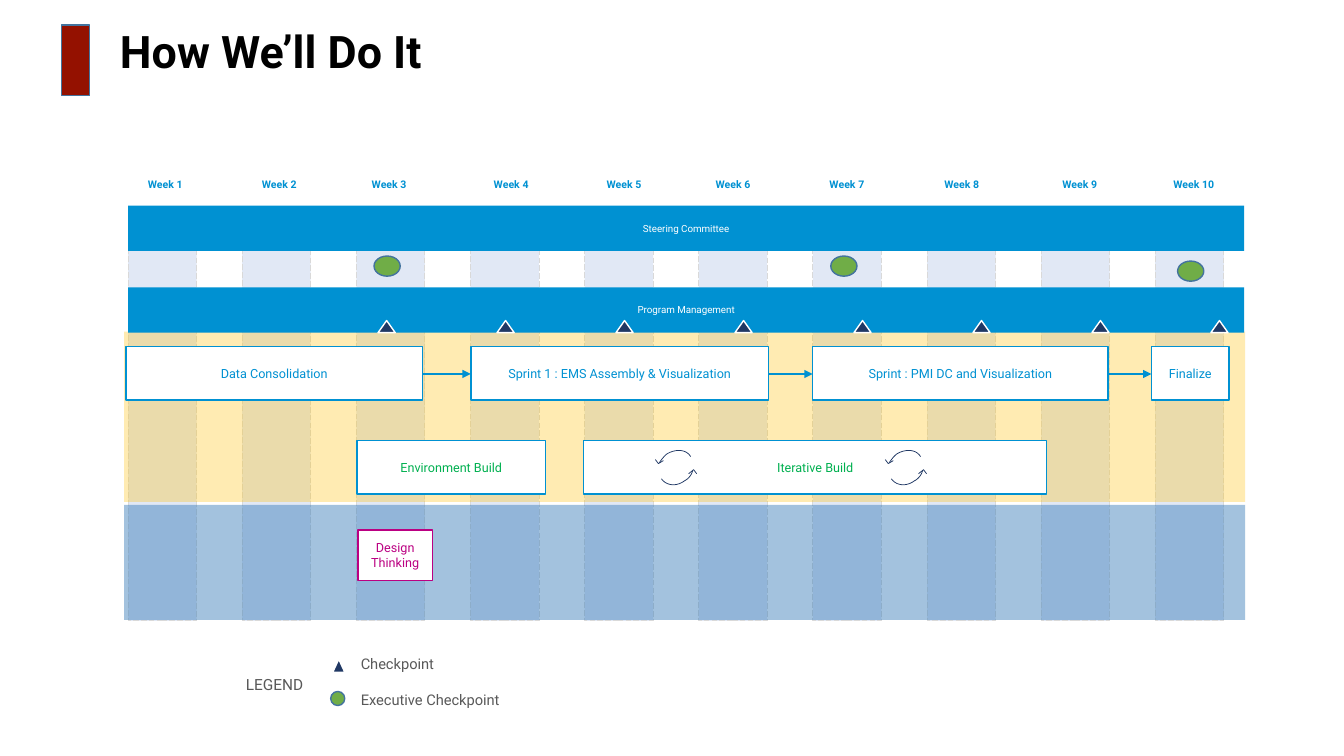
"""Build the ten-week plan slide."""
from lxml import etree
from pptx import Presentation
from pptx.dml.color import RGBColor
from pptx.enum.dml import MSO_LINE
from pptx.enum.shapes import MSO_CONNECTOR, MSO_SHAPE
from pptx.enum.text import MSO_ANCHOR, PP_ALIGN
from pptx.oxml.ns import qn
from pptx.util import Inches, Pt

RECT, OVAL, TRI = MSO_SHAPE.RECTANGLE, MSO_SHAPE.OVAL, MSO_SHAPE.ISOSCELES_TRIANGLE
LEFT, CENTER = PP_ALIGN.LEFT, PP_ALIGN.CENTER
DASH, LINE, MIDDLE = MSO_LINE.LONG_DASH, MSO_CONNECTOR.STRAIGHT, MSO_ANCHOR.MIDDLE
FONT = "Roboto"
BLUE, NAVY, GREEN, PINK = "0091D2", "203864", "00B050", "BB0082"
WHITE, GRAY, LEAF, EDGE = "FFFFFF", "595959", "70AD47", "43739E"

TITLE = "How We’ll Do It"
WEEKS = [1.64, 2.77, 3.86, 5.07, 6.19, 7.27, 8.4, 9.54, 10.71, 11.84]
ZONES = [(3.29, 1.69, "FFC000", 30), (5.01, 1.14, "2E75B6", 44)]
BARS = [("Steering Committee", 2.04), ("Program Management", 2.85)]
TASKS = [
    ("Data Consolidation", 1.25, 3.44, 2.94, 0.53, BLUE, BLUE),
    ("Sprint 1 : EMS Assembly & Visualization", 4.67, 3.44, 2.95, 0.53, BLUE, BLUE),
    ("Sprint : PMI DC and Visualization", 8.06, 3.44, 2.93, 0.53, BLUE, BLUE),
    ("Finalize", 11.42, 3.44, 0.77, 0.53, BLUE, BLUE),
    ("Environment Build", 3.54, 4.37, 1.87, 0.53, BLUE, GREEN),
    ("Iterative Build", 5.79, 4.37, 4.59, 0.53, BLUE, GREEN),
    ("Design Thinking", 3.55, 5.26, 0.74, 0.5, PINK, PINK),
]
EXECS = [(3.71, 2.54), (8.24, 2.54), (11.68, 2.59)]
LEGEND = [
    ("LEGEND", 2.34, 6.65, 0.87, 11),
    ("Checkpoint", 3.48, 6.45, 1.37, 10.5),
    ("Executive Checkpoint", 3.48, 6.8, 1.69, 10.5),
]
LOOPS = [0, 2.28]
ARCS = [
    [(6.56, 4.75), (6.61, 4.82), (6.71, 4.83), (6.79, 4.77),
     (6.83, 4.75), (6.86, 4.71), (6.87, 4.67)],
    [(6.85, 4.53), (6.81, 4.46), (6.71, 4.45), (6.62, 4.5),
     (6.59, 4.52), (6.56, 4.56), (6.54, 4.59)],
]
HEADS = [
    [(6.83, 4.7), (6.88, 4.66), (6.91, 4.7)],
    [(6.58, 4.57), (6.53, 4.6), (6.5, 4.56)],
]

deck = Presentation()
deck.slide_width, deck.slide_height = Inches(13.33), Inches(7.5)
slide = deck.slides.add_slide(deck.slide_layouts[5])
shapes = slide.shapes


def color(code):
    return RGBColor.from_string(code)


def box(*at):
    return [Inches(n) for n in at]


def write(shape, text, size, ink, align=CENTER, bold=False):
    frame = shape.text_frame
    frame.word_wrap = True
    frame.text = text
    para = frame.paragraphs[0]
    para.alignment = align
    font = para.font
    font.name, font.size, font.bold = FONT, Pt(size), bold
    font.color.rgb = color(ink)


def stroke(shape, ink, width):
    shape.line.color.rgb = color(ink)
    shape.line.width = Pt(width)


def draw(kind, at, fill, edge=None, width=1, alpha=None):
    shape = shapes.add_shape(kind, *box(*at))
    shape.shadow.inherit = False
    shape.fill.solid()
    shape.fill.fore_color.rgb = color(fill)
    if alpha:
        tint = shape.fill._xPr.find(".//" + qn("a:srgbClr"))
        etree.SubElement(tint, qn("a:alpha"), val=str(alpha * 1000))
    if edge:
        stroke(shape, edge, width)
    else:
        shape.line.fill.background()
    return shape


def label(text, at, *style):
    write(shapes.add_textbox(*box(*at)), text, *style)


def trace(dots, dx):
    dots = [box(x + dx, y) for x, y in dots]
    pen = shapes.build_freeform(*dots[0])
    pen.add_line_segments(dots[1:], close=False)
    shape = pen.convert_to_shape()
    shape.shadow.inherit = False
    shape.fill.background()
    stroke(shape, NAVY, 0.54)


def curve(knots, steps=10):
    dots = [knots[0]]
    for i in range(0, len(knots) - 1, 3):
        a, b, c, d = knots[i:i + 4]
        for k in range(1, steps + 1):
            t = k / steps
            u = 1 - t
            dots.append(tuple(
                u**3 * p + 3 * u * u * t * q + 3 * u * t * t * r + t**3 * s
                for p, q, r, s in zip(a, b, c, d)))
    return dots


def arrow(start, end, y):
    line = shapes.add_connector(LINE, *box(start, y, end, y))
    stroke(line, BLUE, 1.5)
    etree.SubElement(line.line._get_or_add_ln(), qn("a:tailEnd"), type="triangle")
    etree.SubElement(line._element.spPr, qn("a:effectLst"))


title = shapes.title
title.left, title.top, title.width, title.height = box(1.09, 0.25, 11.5, 0.58)
write(title, TITLE, 32, "000000", LEFT, True)
title.text_frame.vertical_anchor = MIDDLE
title.text_frame.paragraphs[0].line_spacing = 0.9
draw(RECT, (0.61, 0.25, 0.28, 0.7), "941100", EDGE)

for i, mid in enumerate(WEEKS):
    stripe = draw(RECT, (1.27 + 1.132 * i, 2.1, 0.68, 4.06), "DAE3F3", "D9D9D9", 0.5, 80)
    stripe.line.dash_style = DASH
    label(f"Week {i + 1}", (mid - 0.5, 1.72, 1, 0.29), 7.5, BLUE, CENTER, True)
for top, high, fill, alpha in ZONES:
    draw(RECT, (1.23, top, 11.12, high), fill, alpha=alpha)
for text, top in BARS:
    write(draw(RECT, (1.27, top, 11.07, 0.45), BLUE), text, 7, WHITE)
for i in range(8):
    draw(TRI, (3.75 + 1.18 * i, 3.18, 0.17, 0.12), NAVY, WHITE)
for x, y in EXECS:
    draw(OVAL, (x, y, 0.26, 0.2), LEAF, EDGE)

for text, x, y, wide, high, edge, ink in TASKS:
    write(draw(RECT, (x, y, wide, high), WHITE, edge), text, 9, ink)
for task, after in zip(TASKS[:3], TASKS[1:4]):
    arrow(task[1] + task[3], after[1], 3.71)
for dx in LOOPS:
    for arc, head in zip(ARCS, HEADS):
        trace(curve(arc), dx)
        trace(head, dx)

draw(TRI, (3.3, 6.54, 0.12, 0.13), NAVY, WHITE)
draw(OVAL, (3.28, 6.86, 0.14, 0.14), LEAF, EDGE)
for text, x, y, wide, size in LEGEND:
    label(text, (x, y, wide, 0.28), size, GRAY, LEFT)

deck.save("out.pptx")
